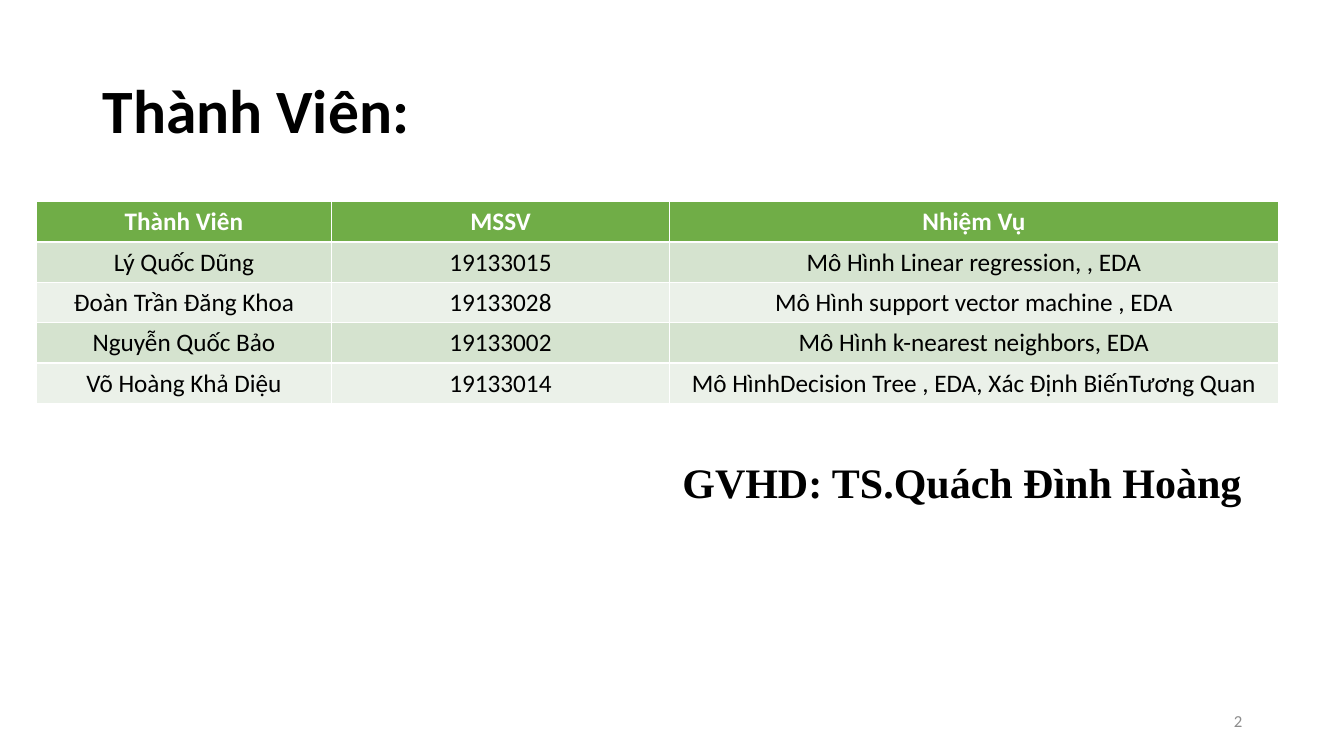
"""Build the team members slide with its task table."""
from pptx import Presentation
from pptx.dml.color import RGBColor
from pptx.enum.text import MSO_ANCHOR, PP_ALIGN
from pptx.util import Pt

PX = 9144
BLACK = RGBColor(0x00, 0x00, 0x00)
WHITE = RGBColor(0xFF, 0xFF, 0xFF)
GRAY = RGBColor(0x8C, 0x8C, 0x8C)
GREEN = RGBColor(0x70, 0xAD, 0x47)
BANDS = [RGBColor(0xEB, 0xF1, 0xE9), RGBColor(0xD5, 0xE3, 0xCF)]

MEMBERS = [
    ("Thành Viên", "MSSV", "Nhiệm Vụ"),
    ("Lý Quốc Dũng", "19133015", "Mô Hình Linear regression, , EDA"),
    ("Đoàn Trần Đăng Khoa", "19133028", "Mô Hình support vector machine , EDA"),
    ("Nguyễn Quốc Bảo", "19133002", "Mô Hình k-nearest neighbors, EDA"),
    ("Võ Hoàng Khả Diệu", "19133014",
     "Mô HìnhDecision Tree , EDA, Xác Định BiếnTương Quan"),
]
COLUMN_WIDTHS = [293, 335, 604]
ROW_HEIGHT = 40


def style(paragraph, size, color, bold=False, align=PP_ALIGN.LEFT, face="Calibri"):
    paragraph.alignment = align
    paragraph.font.name = face
    paragraph.font.size = Pt(size)
    paragraph.font.bold = bold
    paragraph.font.color.rgb = color


def add_text(text, left, top, width, height, anchor=MSO_ANCHOR.MIDDLE, wrap=True):
    frame = slide.shapes.add_textbox(
        left * PX, top * PX, width * PX, height * PX).text_frame
    frame.word_wrap = wrap
    frame.vertical_anchor = anchor
    frame.text = text
    return frame.paragraphs[0]


prs = Presentation()
prs.slide_width = 1333 * PX
prs.slide_height = 750 * PX
slide = prs.slides.add_slide(prs.slide_layouts[6])

title = add_text("Thành Viên:", 92, 40, 1150, 145)
style(title, 44, BLACK, bold=True)
title.line_spacing = 0.9

members = slide.shapes.add_table(
    len(MEMBERS), len(COLUMN_WIDTHS), 36 * PX, 200 * PX,
    sum(COLUMN_WIDTHS) * PX, len(MEMBERS) * ROW_HEIGHT * PX).table
for column, width in zip(members.columns, COLUMN_WIDTHS):
    column.width = width * PX
for row, entries in enumerate(MEMBERS):
    header = row == 0
    for col, entry in enumerate(entries):
        cell = members.cell(row, col)
        cell.text = entry
        cell.fill.solid()
        cell.fill.fore_color.rgb = GREEN if header else BANDS[row % 2]
        style(cell.text_frame.paragraphs[0], 18, WHITE if header else BLACK,
              bold=header, align=PP_ALIGN.CENTER)

page_number = add_text("2", 942, 695, 300, 40)
style(page_number, 12, GRAY, align=PP_ALIGN.RIGHT)

supervisor = add_text("GVHD: TS.Quách Đình Hoàng", 667, 448, 580, 61,
                      anchor=MSO_ANCHOR.TOP, wrap=False)
style(supervisor, 30, BLACK, bold=True, face="Times New Roman")

prs.save("out.pptx")
